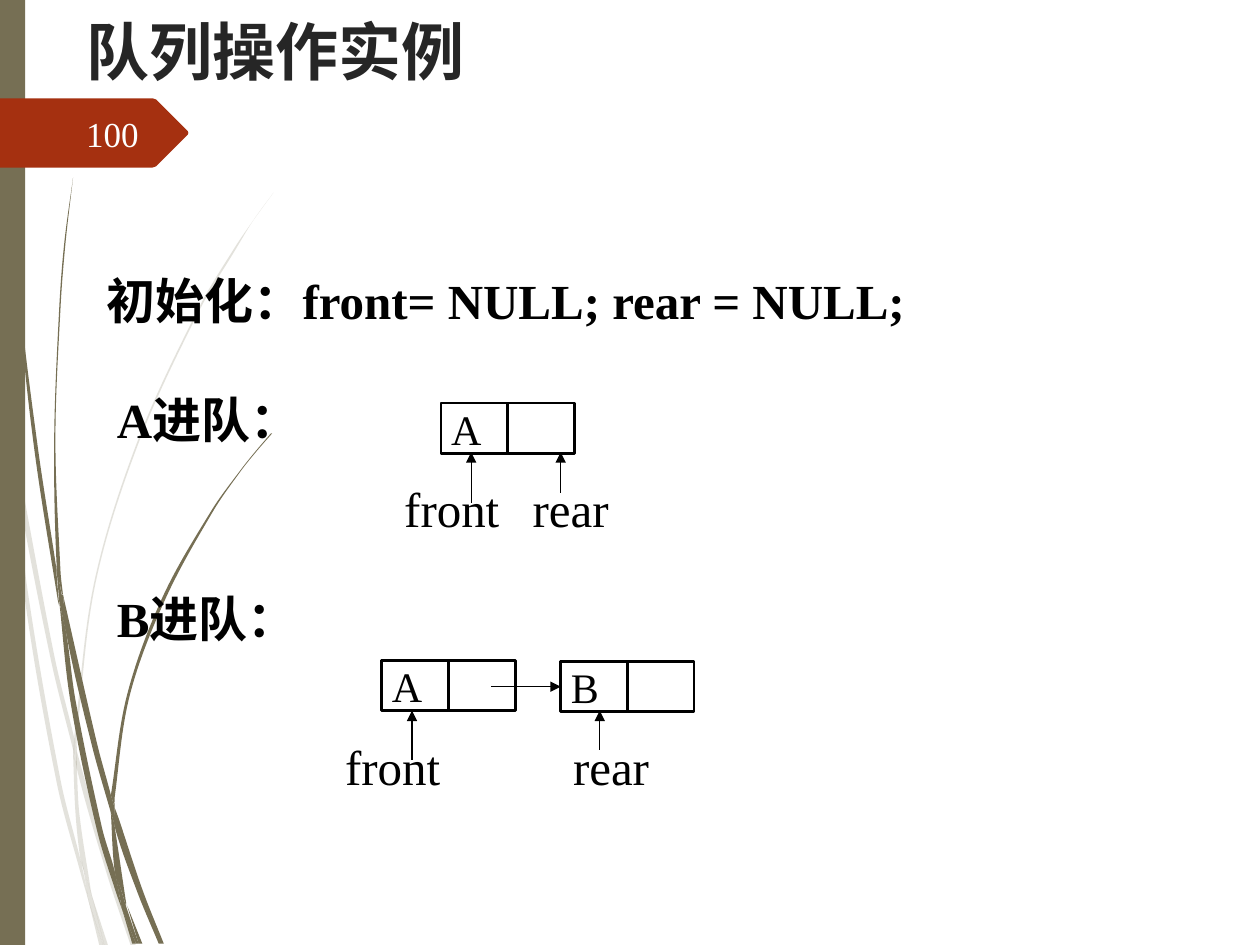
from itertools import pairwise
from math import dist

from lxml.etree import SubElement
from pptx import Presentation
from pptx.dml.color import RGBColor
from pptx.enum.shapes import MSO_CONNECTOR, MSO_SHAPE
from pptx.enum.text import MSO_ANCHOR, MSO_AUTO_SIZE, PP_ALIGN
from pptx.oxml.ns import qn
from pptx.util import Inches, Pt

OLIVE = RGBColor(0x76, 0x6F, 0x54)
RUST = RGBColor(0xA5, 0x30, 0x10)
CHARCOAL = RGBColor(0x26, 0x26, 0x26)
BLACK = RGBColor(0x00, 0x00, 0x00)
NEAR_WHITE = RGBColor(0xFE, 0xFF, 0xFF)

COLUMNS, ROWS = 100, 75
CELL_WIDTH, CELL_HEIGHT = 5.3, 4  # one field of a queue node

# Grass blades: each is the knots of one edge, then of the edge back
PALE_BLADES = [
    ([(0.8, 35), (0.6, 32.2), (0, 28.2)], [(0, 29.9), (0.7, 34.4), (0.8, 35)]),
    ([(1, 34.5), (1.2, 37.6), (4, 52.2), (5.9, 59.9)], [(5.9, 58.6), (4.3, 52), (1, 34.5)]),
    ([(6.1, 59.6), (6.1, 61), (8.5, 69.4), (10.4, 75.1)],
     [(10.8, 75.1), (8.8, 69.2), (6.4, 60.7), (6.1, 59.6)]),
    ([(8.3, 75.1), (8.6, 75.1)], [(7.3, 71.1)]),
    ([(7, 71.4), (6.9, 70.7), (6.4, 68.3), (4.8, 61.9), (2.2, 46.9), (1.2, 37.6), (0.8, 35)],
     [(0.8, 35), (1.9, 47), (4.5, 62.1), (6.4, 69.3), (7, 71.4)]),
    ([(5.8, 59.9), (6, 64.6), (6.4, 68.3), (6.7, 69.2), (7.3, 71.1)],
     [(7.2, 70.6), (6.3, 64.6), (6.1, 61), (6.1, 60.8), (5.8, 59.9)]),
    ([(6.1, 59.6), (6.1, 58.4), (7.6, 46.2), (11.1, 34.9), (15.9, 24.5), (18.7, 19.8),
      (20.1, 17.5), (21.7, 15.3)],
     [(21.7, 15.3), (20.1, 17.5), (18.6, 19.7), (15.8, 24.4), (11, 34.8), (7.5, 46.1),
      (5.9, 58.4), (5.9, 58.6)]),
    ([(7, 71.4), (7.9, 75.1)], [(8.2, 75.1)]),
    ([(6.1, 60.8), (6.1, 61), (6.1, 59.6)], [(5.9, 58.6), (5.8, 59.9)]),
    ([(6.5, 68.3), (6.9, 70.7), (7, 71.4), (8.2, 75.1)],
     [(8.3, 75.1), (7.3, 71.1), (6.7, 69.2), (6.5, 68.3)]),
]
DARK_BLADES = [
    ([(0.2, 0), (0.3, 4.8), (0.5, 11), (1.4, 23.3), (2.7, 35.5), (4.6, 47.7), (4.7, 48.1)],
     [(4.5, 45.7), (4.5, 45.3), (3, 35.5), (1.5, 23.2), (0.6, 10.9), (0.4, 4.8), (0.3, 0)]),
    ([(5, 47.2), (5.3, 50.5), (7.3, 59.2), (8.8, 64.5)],
     [(8.8, 63.3), (8.8, 63.1), (7.7, 59), (5, 47.2)]),
    ([(9.1, 64.1), (9.1, 65.6), (10.9, 70.8), (12.6, 74.9)],
     [(13, 74.9), (11.3, 70.6), (9.4, 64.9), (9.1, 64.1)]),
    ([(9.7, 72.2), (9.6, 71.7), (9.1, 69.1), (8.1, 65.7), (6, 55.6), (5.3, 50.5), (4.7, 47.7)],
     [(4.7, 47.7), (5.6, 55.7), (7.7, 65.9), (9.2, 70.8), (9.7, 72.2)]),
    ([(5, 47.2), (4.8, 45.3), (4.4, 34.9), (4.8, 24.5), (5.2, 19.3), (5.8, 14.1)],
     [(5.8, 14.1), (5.1, 19.3), (4.7, 24.5), (4.3, 34.9), (4.5, 44.9), (4.9, 47.1)]),
    ([(11, 74.9), (11.3, 74.9)], [(10.1, 71.9)]),
    ([(4.7, 47.7), (5.3, 50.5)], [(5, 47.2), (4.9, 47.2), (4.5, 44.9), (4.5, 45.3)]),
    ([(9.1, 64.1), (9.1, 63.3), (10.3, 55.2), (13.1, 47.6), (16.9, 40.6), (19.1, 37.4),
      (20.3, 35.9), (21.6, 34.4)],
     [(21.5, 34.4), (20.3, 35.8), (19.1, 37.3), (16.8, 40.5), (12.9, 47.4), (10.1, 55.1),
      (8.8, 63.1)]),
    ([(9.7, 72.2), (10.5, 74.9)], [(10.8, 74.9)]),
    ([(8.8, 64.5), (9.1, 69.1), (9.6, 70.6), (10, 71.9)],
     [(10, 71.6), (9.1, 65.6), (9, 65.1), (8.8, 64.5)]),
    ([(8.8, 64.5), (9, 65.1), (9.1, 65.6)], [(9.1, 64.1), (8.8, 63.1), (8.8, 63.3)]),
    ([(9.1, 69.1), (9.6, 71.7), (9.7, 72.2), (10.8, 74.9)],
     [(11, 74.9), (10, 71.9), (9.6, 70.6), (9.1, 69.1)]),
]
NUMBER_TAG = [(0, 7.8), (12.1, 7.8), (12.4, 7.9), (14.9, 10.4), (14.95, 10.55),
              (14.9, 10.7), (12.4, 13.2), (12.1, 13.3), (0, 13.3)]


def bezier_handles(knots):
    """The two control points of each stretch of a smooth curve through the knots."""
    slopes = []
    for i, knot in enumerate(knots):
        before, after = knots[max(i - 1, 0)], knots[min(i + 1, len(knots) - 1)]
        span = dist(before, knot) + dist(knot, after) or 1
        slopes.append([(b - a) / span for a, b in zip(before, after)])
    handles = []
    for (start, end), (leave, arrive) in zip(pairwise(knots), pairwise(slopes)):
        reach = dist(start, end) / 3
        handles.append(([p + reach * m for p, m in zip(start, leave)],
                        [p - reach * m for p, m in zip(end, arrive)]))
    return handles


class QueueSlide:
    font = "Times New Roman"

    def __init__(self, deck):
        self.col = deck.slide_width / COLUMNS
        self.row = deck.slide_height / ROWS
        self.slide = deck.slides.add_slide(deck.slide_layouts[6])
        self.shapes = self.slide.shapes

    def x(self, columns):
        return round(columns * self.col)

    def y(self, rows):
        return round(rows * self.row)

    def group(self):
        """Send the following elements into a new group."""
        self.shapes = self.slide.shapes.add_group_shape().shapes

    def ungroup(self):
        self.shapes = self.slide.shapes

    def outline(self, points, color, opacity=None):
        corners = [(self.x(column), self.y(row)) for column, row in points]
        pen = self.shapes.build_freeform(*corners[0])
        pen.add_line_segments(corners[1:])
        area = pen.convert_to_shape()
        area.shadow.inherit = False
        area.line.fill.background()
        area.fill.solid()
        area.fill.fore_color.rgb = color
        if opacity:
            tint = area.fill._xPr.find(f".//{qn('a:srgbClr')}")
            SubElement(tint, qn("a:alpha")).set("val", str(opacity * 1000))
        return area

    def blades(self, blades, opacity=None):
        self.group()
        for edge, edge_back in blades:
            area = self.outline(edge + edge_back, OLIVE, opacity)
            # Bend each edge; the step between the two edges stays straight
            handles = [*bezier_handles(edge), None, *bezier_handles(edge_back)]
            sides = area._element.findall(f".//{qn('a:lnTo')}")
            for side, pair in zip(sides, handles):
                if pair:
                    end = side[0]
                    side.tag = qn("a:cubicBezTo")
                    for column, row in pair:
                        handle = SubElement(side, qn("a:pt"))
                        handle.set("x", str(self.x(column) - area.left))
                        handle.set("y", str(self.y(row) - area.top))
                    side.append(end)
        self.ungroup()

    def box(self, left, top, width, height, fill=None):
        box = self.shapes.add_shape(MSO_SHAPE.RECTANGLE, self.x(left), self.y(top),
                                    self.x(width), self.y(height))
        box.shadow.inherit = False
        if fill:
            box.fill.solid()
            box.fill.fore_color.rgb = fill
            box.line.fill.background()
        else:
            box.fill.background()
            box.line.color.rgb = BLACK
            box.line.width = Pt(1.5)
        return box

    def text(self, words, left, top, width, height=5.7, size=28, bold=False,
             color=BLACK, font=None, align=PP_ALIGN.LEFT, anchor=MSO_ANCHOR.TOP):
        label = self.shapes.add_textbox(self.x(left), self.y(top), self.x(width), self.y(height))
        frame = label.text_frame
        frame.word_wrap = True
        frame.auto_size = MSO_AUTO_SIZE.NONE
        frame.vertical_anchor = anchor
        frame.text = words
        line = frame.paragraphs[0]
        line.alignment = align
        style = line.runs[0].font
        style.name, style.size, style.bold = font or self.font, Pt(size), bold
        style.color.rgb = color
        return frame

    def node(self, letter, left, top):
        """A queue node: data field with its letter, then the link field."""
        data, _ = [self.box(left + i * CELL_WIDTH, top, CELL_WIDTH, CELL_HEIGHT) for i in range(2)]
        frame = self.text(letter, left, top, 5.5, CELL_HEIGHT, size=24)
        frame.margin_top = frame.margin_right = frame.margin_bottom = 0
        frame.margin_left = self.x(0.8)
        return data

    def arrow(self, start, end, target=None):
        arrow = self.shapes.add_connector(MSO_CONNECTOR.STRAIGHT, self.x(start[0]), self.y(start[1]),
                                          self.x(end[0]), self.y(end[1]))
        if target:
            arrow.end_connect(target, 1)
        arrow.line.color.rgb = BLACK
        arrow.line.width = Pt(0.75)
        SubElement(arrow.line._get_or_add_ln(), qn("a:tailEnd")).set("type", "triangle")
        SubElement(arrow._element.spPr, qn("a:effectLst"))

    def pointer(self, name, left, top, width, tip_x, tail_y, tip_y):
        self.text(name, left, top, width)
        self.arrow((tip_x, tail_y), (tip_x, tip_y))


def main():
    deck = Presentation()
    deck.slide_width, deck.slide_height = Inches(10), Inches(7.5)
    page = QueueSlide(deck)

    # Decoration on the left
    page.blades(PALE_BLADES, opacity=20)
    page.blades(DARK_BLADES)
    page.box(0, 0, 2, ROWS, fill=OLIVE)
    page.outline(NUMBER_TAG, RUST)
    # Title and slide number
    page.text("队列操作实例", 5.9, 0.5, 85, 12.5, 36, True, CHARCOAL, "League Spartan")
    page.text("100", 5.6, 8.6, 6.4, 4, 20, color=NEAR_WHITE,
              align=PP_ALIGN.RIGHT, anchor=MSO_ANCHOR.MIDDLE)
    # Steps
    page.text("初始化：front= NULL; rear = NULL;", 7.5, 21, 73.2, bold=True)
    for step, top in (("A进队：", 30.4), ("B进队：", 46.2)):
        page.text(step, 8.3, top, 57.5, bold=True)
    # Queue after A enters
    page.group()
    page.node("A", 35, 32)
    page.pointer("front", 31.1, 37.5, 10.2, 37.4, 39.9, 35.9)
    page.pointer("rear", 41.3, 37.5, 9.4, 44.5, 39.1, 35.9)
    # Queue after B enters
    page.group()
    page.node("A", 30.3, 52.4)
    node_b = page.node("B", 44.5, 52.5)
    page.pointer("front", 26.4, 58, 10.2, 32.7, 60.3, 56.4)
    page.pointer("rear", 44.5, 58, 9.4, 47.6, 59.5, 56.4)
    page.arrow((39, 54.5), (44.5, 54.5), target=node_b)

    deck.save("out.pptx")


if __name__ == "__main__":
    main()
